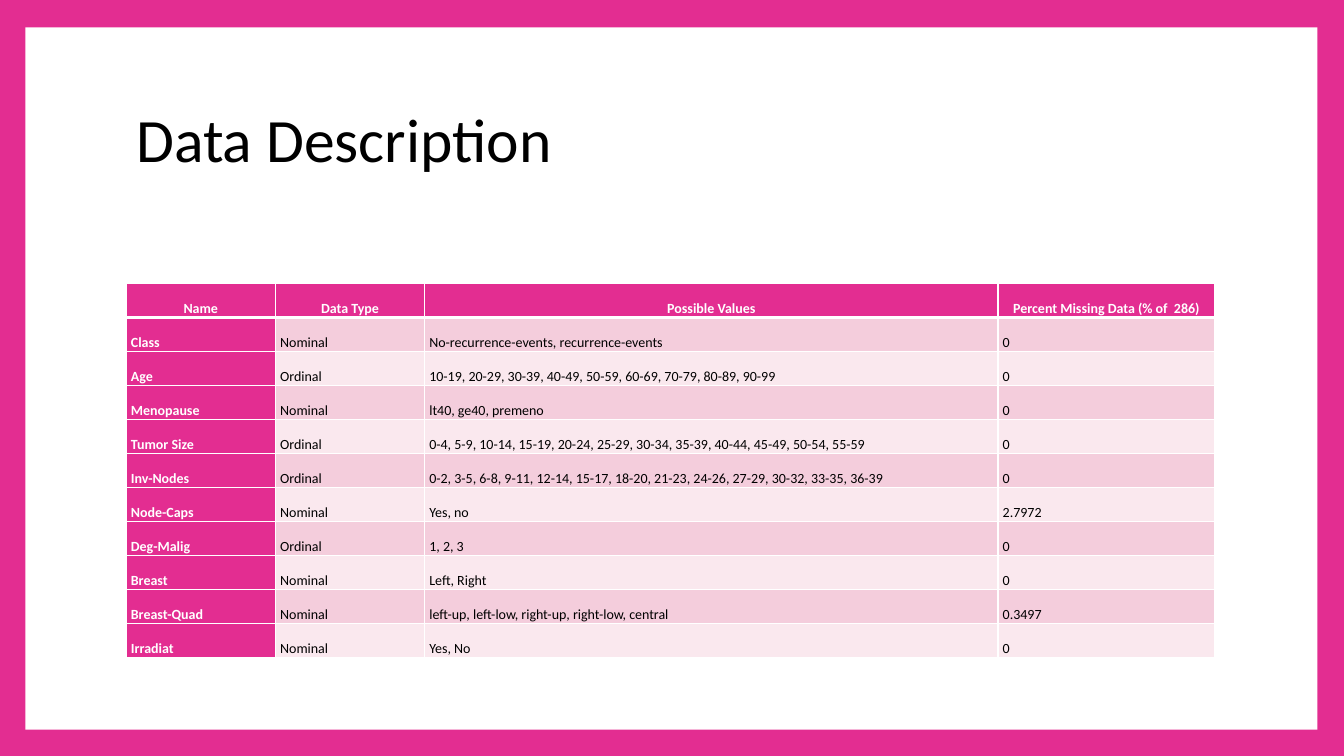
from dataclasses import dataclass

from lxml.etree import SubElement
from pptx import Presentation
from pptx.dml.color import RGBColor
from pptx.enum.shapes import MSO_SHAPE
from pptx.enum.text import MSO_ANCHOR, MSO_AUTO_SIZE, PP_ALIGN
from pptx.oxml.ns import qn
from pptx.util import Cm, Pt


@dataclass(frozen=True)
class Theme:
    font: str = "Calibri"
    pink: str = "E32D91"
    white: str = "FFFFFF"
    black: str = "000000"
    bands: tuple = ("F4CDDC", "FAE8EE")
    title_size: int = 44
    table_size: int = 10
    border: int = 1
    header_border: int = 3


THEME = Theme()
LEFT, CONTENT_WIDTH = Cm(3.18), Cm(27.43)
COLUMN_WIDTHS = (Cm(3.76), Cm(3.76), Cm(14.45), Cm(5.46))
ROW_HEIGHT = Cm(0.82)

HEADER = ("Name", "Data Type", "Possible Values", "Percent Missing Data (% of  286)")
ATTRIBUTES = (
    ("Class", "Nominal", "No-recurrence-events, recurrence-events", "0"),
    ("Age", "Ordinal", "10-19, 20-29, 30-39, 40-49, 50-59, 60-69, 70-79, 80-89, 90-99", "0"),
    ("Menopause", "Nominal", "lt40, ge40, premeno", "0"),
    ("Tumor Size", "Ordinal",
     "0-4, 5-9, 10-14, 15-19, 20-24, 25-29, 30-34, 35-39, 40-44, 45-49, 50-54, 55-59", "0"),
    ("Inv-Nodes", "Ordinal",
     "0-2, 3-5, 6-8, 9-11, 12-14, 15-17, 18-20, 21-23, 24-26, 27-29, 30-32, 33-35, 36-39", "0"),
    ("Node-Caps", "Nominal", "Yes, no", "2.7972"),
    ("Deg-Malig", "Ordinal", "1, 2, 3", "0"),
    ("Breast", "Nominal", "Left, Right", "0"),
    ("Breast-Quad", "Nominal", "left-up, left-low, right-up, right-low, central", "0.3497"),
    ("Irradiat", "Nominal", "Yes, No", "0"),
)


def paint(fill, color):
    fill.solid()
    fill.fore_color.rgb = RGBColor.from_string(color)


def style_font(font, size, color, bold=False):
    font.name, font.size, font.bold = THEME.font, Pt(size), bold
    font.color.rgb = RGBColor.from_string(color)


def add_panel(page):
    """White panel inside the pink frame, behind everything else."""
    panel = page.shapes.add_shape(
        MSO_SHAPE.RECTANGLE, Cm(0.64), Cm(0.69), Cm(32.56), Cm(17.7))
    panel.shadow.inherit = False
    paint(panel.fill, THEME.white)
    panel.line.fill.background()
    page.shapes._spTree.insert(2, panel._element)


def set_title(page, text):
    title = page.shapes.title
    title.left, title.top, title.width, title.height = LEFT, Cm(1.7), CONTENT_WIDTH, Cm(3.76)
    frame = title.text_frame
    frame.text = text
    frame.auto_size = MSO_AUTO_SIZE.NONE
    frame.vertical_anchor = MSO_ANCHOR.MIDDLE
    para = frame.paragraphs[0]
    para.alignment = PP_ALIGN.LEFT
    para.line_spacing = 0.9
    style_font(para.font, THEME.title_size, THEME.black)


def set_borders(cell, bottom):
    properties = cell._tc.get_or_add_tcPr()
    for side in "LRTB":
        width = bottom if side == "B" else THEME.border
        line = SubElement(properties, qn(f"a:ln{side}"), w=str(Pt(width)))
        solid = SubElement(line, qn("a:solidFill"))
        SubElement(solid, qn("a:srgbClr"), val=THEME.white)


def fill_cell(cell, text, row, column):
    is_header = row == 0
    is_label = is_header or column == 0
    # Borders precede the fill in the cell properties
    set_borders(cell, THEME.header_border if is_header else THEME.border)
    paint(cell.fill, THEME.pink if is_label else THEME.bands[(row - 1) % 2])
    cell.margin_left = cell.margin_right = Cm(0.12)
    cell.margin_top = cell.margin_bottom = 0
    cell.text = text
    para = cell.text_frame.paragraphs[0]
    para.alignment = PP_ALIGN.CENTER if is_header else PP_ALIGN.LEFT
    para.line_spacing = 2.0
    para.space_after = Pt(8)
    style_font(para.font, THEME.table_size, THEME.white if is_label else THEME.black, is_label)


def add_attribute_table(page, rows):
    table = page.shapes.add_table(
        len(rows), len(COLUMN_WIDTHS), LEFT, Cm(7.14), CONTENT_WIDTH,
        ROW_HEIGHT * len(rows)).table
    table.first_col = True
    for column, width in zip(table.columns, COLUMN_WIDTHS):
        column.width = width
    for row, texts in enumerate(rows):
        table.rows[row].height = ROW_HEIGHT
        for column, text in enumerate(texts):
            fill_cell(table.cell(row, column), text, row, column)


def main():
    deck = Presentation()
    deck.slide_width, deck.slide_height = Cm(33.87), Cm(19.05)
    page = deck.slides.add_slide(deck.slide_layouts[5])  # title only

    # Frame and panel
    paint(page.background.fill, THEME.pink)
    add_panel(page)

    # Content
    set_title(page, "Data Description")
    add_attribute_table(page, (HEADER, *ATTRIBUTES))

    deck.save("out.pptx")


if __name__ == "__main__":
    main()
